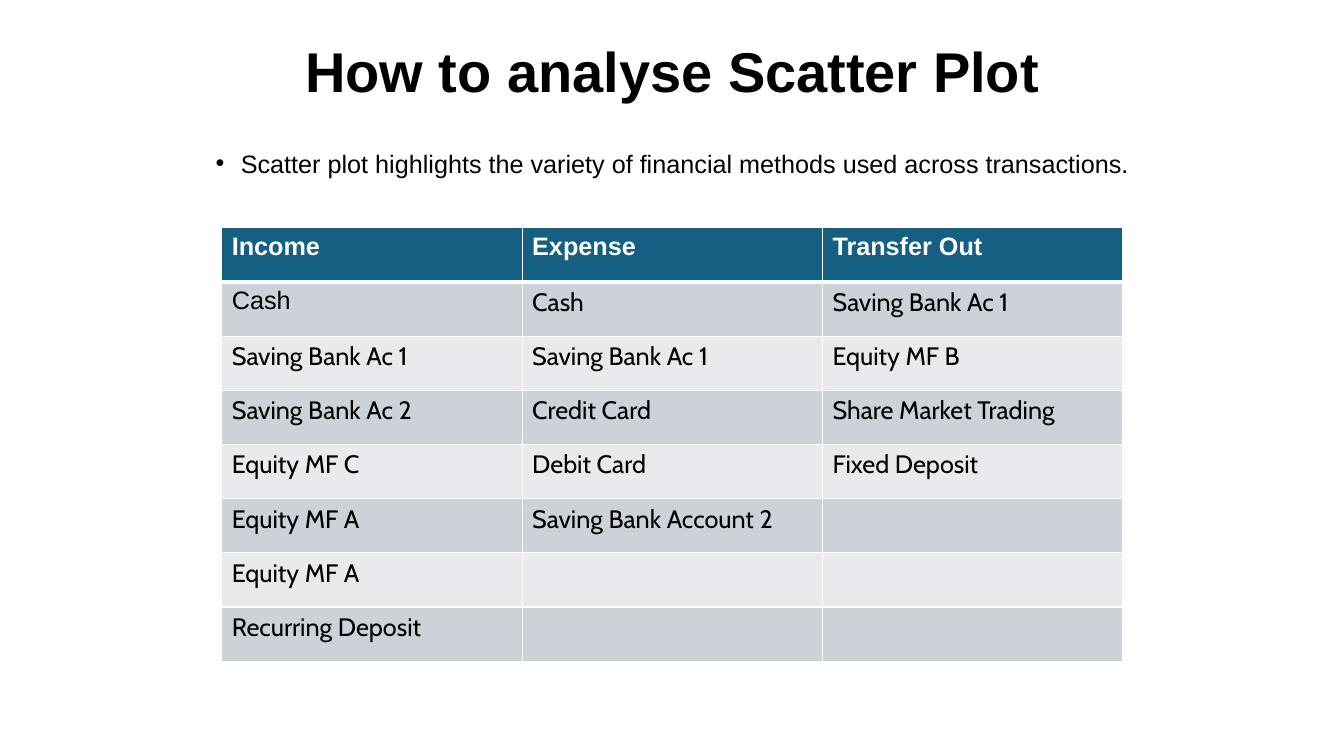
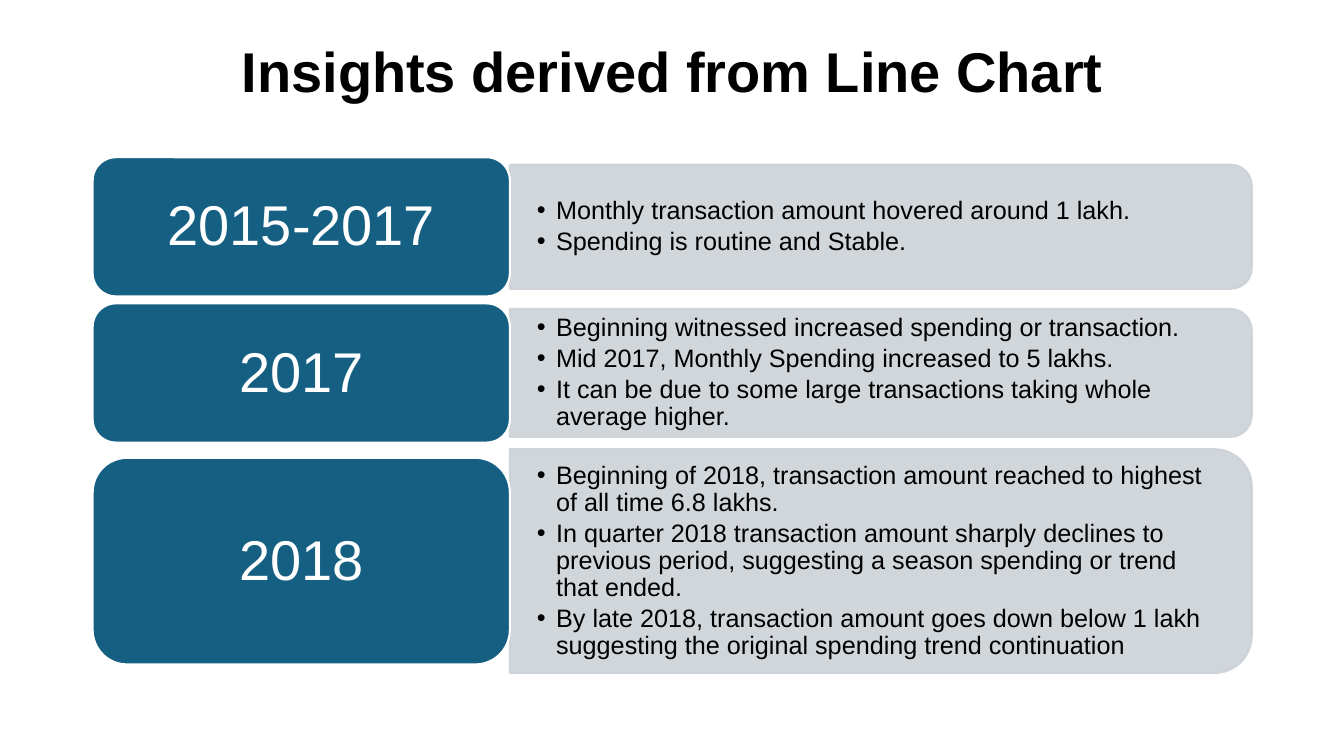
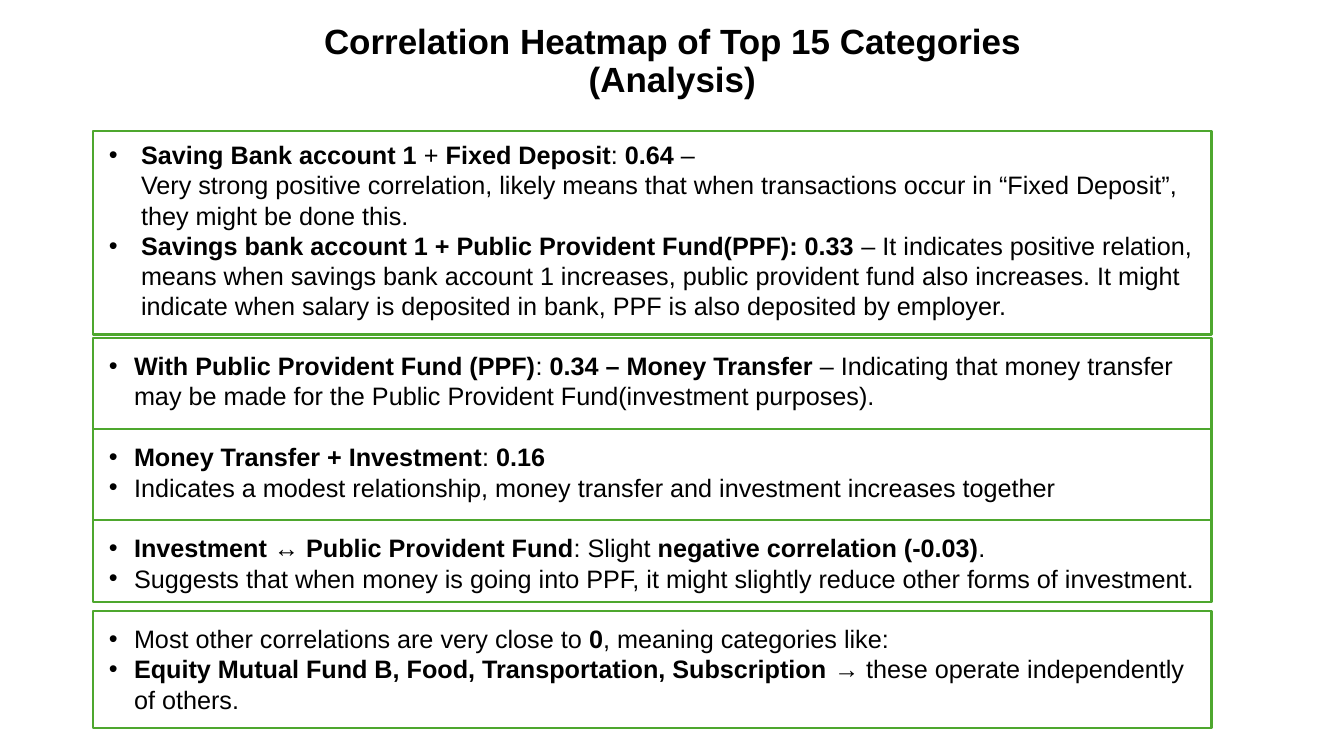
from lxml import etree
from pptx import Presentation
from pptx import util as u
from pptx.dml import color
from pptx.enum import shapes, text
from pptx.oxml import ns

COLORS = {
    "ink": "000000",
    "paper": "FFFFFF",
    "teal": "156082",
    "panel": "CCD2D8",
    "stripe": "E8EAED",
    "green": "4EA72E",
}
LEFT = 66.2
CONTENT_WIDTH = 828
TIGHT = 1.08
SINGLE = 1.2
CENTER = text.PP_ALIGN.CENTER
MIDDLE = text.MSO_ANCHOR.MIDDLE
TOP = text.MSO_ANCHOR.TOP

METHODS = [
    ("Income", "Expense", "Transfer Out"),
    ("Cash", "Cash", "Saving Bank Ac 1"),
    ("Saving Bank Ac 1", "Saving Bank Ac 1", "Equity MF B"),
    ("Saving Bank Ac 2", "Credit Card", "Share Market Trading"),
    ("Equity MF C", "Debit Card", "Fixed Deposit"),
    ("Equity MF A", "Saving Bank Account 2", ""),
    ("Equity MF A", "", ""),
    ("Recurring Deposit", "", ""),
]

PERIODS = [
    ("2015-2017", 162, 99.4, 88.6, [
        "Monthly transaction amount hovered around 1 lakh.",
        "Spending is routine and Stable.",
    ]),
    ("2017", 266.4, 99.4, 91.4, [
        "Beginning witnessed increased spending or transaction.",
        "Mid 2017, Monthly Spending increased to 5 lakhs.",
        "It can be due to some large transactions taking whole average higher.",
    ]),
    ("2018", 400.8, 147.6, 159.8, [
        "Beginning of 2018, transaction amount reached to highest of all time 6.8 lakhs.",
        "In quarter 2018 transaction amount sharply declines to previous period, "
        "suggesting a season spending or trend that ended.",
        "By late 2018, transaction amount goes down below 1 lakh "
        "suggesting the original spending trend continuation",
    ]),
]

FINDINGS = [
    (93.6, 145.4, 6, 23, [
        "**Saving Bank account 1** + **Fixed Deposit**: **0.64** –\n"
        "Very strong positive correlation, likely means that when transactions "
        "occur in “Fixed Deposit”, they might be done this.",
        "**Savings bank account 1 + Public Provident Fund(PPF): 0.33** – It indicates "
        "positive relation, means when savings bank account 1 increases, public "
        "provident fund also increases. It might indicate when salary is deposited "
        "in bank, PPF is also deposited by employer.",
    ]),
    (241.2, 65, 9, 18, [
        "**With Public Provident Fund (PPF)**: **0.34 – Money Transfer** – Indicating "
        "that money transfer may be made for the Public Provident Fund(investment purposes).",
    ]),
    (306.5, 65, 9, 18, [
        "**Money Transfer + Investment**: **0.16**",
        "Indicates a modest relationship, money transfer and investment increases together",
    ]),
    (371.5, 58.3, 9, 18, [
        "**Investment ↔ Public Provident Fund**: Slight **negative correlation (-0.03)**.",
        "Suggests that when money is going into PPF, it might slightly reduce "
        "other forms of investment.",
    ]),
    (436.3, 83.5, 9, 18, [
        "Most other correlations are very close to **0**, meaning categories like:",
        "**Equity Mutual Fund B, Food, Transportation, Subscription** → "
        "these operate independently of others.",
    ]),
]


def rgb(name):
    return color.RGBColor.from_string(COLORS[name])


def apply(target, values):
    for name, value in values.items():
        setattr(target, name, value)


def add_bullet(paragraph, hang):
    properties = paragraph._p.get_or_add_pPr()
    properties.set("marL", str(u.Pt(hang)))
    properties.set("indent", str(-u.Pt(hang)))
    font = etree.SubElement(properties, ns.qn("a:buFont"))
    font.set("typeface", "Arial")
    etree.SubElement(properties, ns.qn("a:buChar")).set("char", "•")


def add_runs(paragraph, content, size=18, ink="ink", bold=False, font="Arial"):
    for line_number, line in enumerate(content.split("\n")):
        if line_number:
            paragraph.add_line_break()
        for part_number, part in enumerate(line.split("**")):
            if part:
                run = paragraph.add_run()
                run.text = part
                apply(run.font, {"name": font, "size": u.Pt(size),
                                 "bold": bold or part_number % 2 == 1})
                run.font.color.rgb = rgb(ink)


def write(shape, contents, insets=(7.2, 3.6, 7.2, 3.6), anchor=MIDDLE, align=None,
          spacing=TIGHT, after=0, hang=0, size=18, **style):
    frame = shape.text_frame
    sides = ("margin_left", "margin_top", "margin_right", "margin_bottom")
    apply(frame, {side: u.Pt(inset) for side, inset in zip(sides, insets)})
    apply(frame, {"word_wrap": True, "vertical_anchor": anchor})
    for number, content in enumerate(contents):
        paragraph = frame.add_paragraph() if number else frame.paragraphs[0]
        apply(paragraph, {"alignment": align or text.PP_ALIGN.LEFT,
                          "line_spacing": u.Pt(round(size * spacing, 1)),
                          "space_after": u.Pt(after)})
        if hang:
            add_bullet(paragraph, hang)
        add_runs(paragraph, content, size, **style)


def add_text(slide, box, contents, **options):
    shape = slide.shapes.add_textbox(*map(u.Pt, box))
    write(shape, contents, **options)


def add_box(slide, kind, box, fill, line, alpha=None):
    shape = slide.shapes.add_shape(kind, *map(u.Pt, box))
    shape.shadow.inherit = False
    shape.fill.solid()
    shape.fill.fore_color.rgb = rgb(fill)
    shape.line.color.rgb = rgb(line)
    shape.line.width = u.Pt(1.5)
    if alpha:
        for value in shape._element.spPr.iter(ns.qn("a:srgbClr")):
            etree.SubElement(value, ns.qn("a:alpha")).set("val", str(alpha * 1000))
    return shape


def add_title(slide, content, top=0, height=104.4, size=40):
    add_text(slide, (LEFT, top, CONTENT_WIDTH, height), [content],
             align=CENTER, size=size, bold=True)


def add_borders(cell, bottom):
    properties = cell._tc.get_or_add_tcPr()
    widths = {"lnL": 1, "lnR": 1, "lnT": 1, "lnB": bottom}
    for position, (side, width) in enumerate(widths.items()):
        line = etree.Element(ns.qn("a:" + side), w=str(u.Pt(width)))
        fill = etree.SubElement(line, ns.qn("a:solidFill"))
        etree.SubElement(fill, ns.qn("a:srgbClr")).set("val", COLORS["paper"])
        properties.insert(position, line)


def add_methods_table(slide):
    rows, columns = len(METHODS), len(METHODS[0])
    box = map(u.Pt, (158.4, 162.7, 643.7, 309.6))
    table = slide.shapes.add_table(rows, columns, *box).table
    for row, values in enumerate(METHODS):
        header = row == 0
        fill = "teal" if header else "panel" if row % 2 else "stripe"
        for column, value in enumerate(values):
            cell = table.cell(row, column)
            cell.fill.solid()
            cell.fill.fore_color.rgb = rgb(fill)
            add_borders(cell, 3 if header else 1)
            arial = header or (row, column) == (1, 0)
            add_runs(cell.text_frame.paragraphs[0], value, bold=header,
                     ink="paper" if header else "ink", font="Arial" if arial else "Cabin")


def add_period(slide, label, middle, tab_height, panel_height, points):
    tab_width, panel_width = 298, 529.9
    panel_left = LEFT + tab_width
    panel_box = (panel_left + (panel_width - panel_height) / 2, middle - panel_width / 2,
                 panel_height, panel_width)
    panel = add_box(slide, shapes.MSO_SHAPE.ROUND_2_SAME_RECTANGLE, panel_box,
                    "panel", "panel", alpha=90)
    panel.rotation = 90
    add_text(slide, (panel_left, middle - panel_height / 2, 525.6, panel_height), points,
             insets=(19.4, 0, 19.4, 0), after=2.7, hang=13.7)
    tab = add_box(slide, shapes.MSO_SHAPE.ROUNDED_RECTANGLE,
                  (LEFT, middle - tab_height / 2, tab_width, tab_height), "teal", "paper")
    write(tab, [label], align=CENTER, size=40, ink="paper")


def add_finding(slide, top, height, inset, hang, points):
    shape = add_box(slide, shapes.MSO_SHAPE.RECTANGLE, (LEFT, top, 799.2, height),
                    "paper", "green")
    write(shape, points, insets=(11.6, inset, 5, 0), anchor=TOP, spacing=SINGLE, hang=hang)


def main():
    presentation = Presentation()
    apply(presentation, {"slide_width": u.Pt(960), "slide_height": u.Pt(540)})
    scatter, line_chart, heatmap = [
        presentation.slides.add_slide(presentation.slide_layouts[6]) for _ in range(3)]

    add_title(scatter, "How to analyse Scatter Plot")
    add_text(scatter, (LEFT, 104.4, CONTENT_WIDTH, 40),
             ["Scatter plot highlights the variety of financial methods used across transactions."],
             anchor=TOP, align=CENTER, hang=18)
    add_methods_table(scatter)

    add_title(line_chart, "Insights derived from Line Chart")
    for period in PERIODS:
        add_period(line_chart, *period)

    add_title(heatmap, "Correlation Heatmap of Top 15 Categories\n(Analysis)", 11.5, 64.8, 25)
    for finding in reversed(FINDINGS):
        add_finding(heatmap, *finding)

    presentation.save("out.pptx")


if __name__ == "__main__":
    main()
